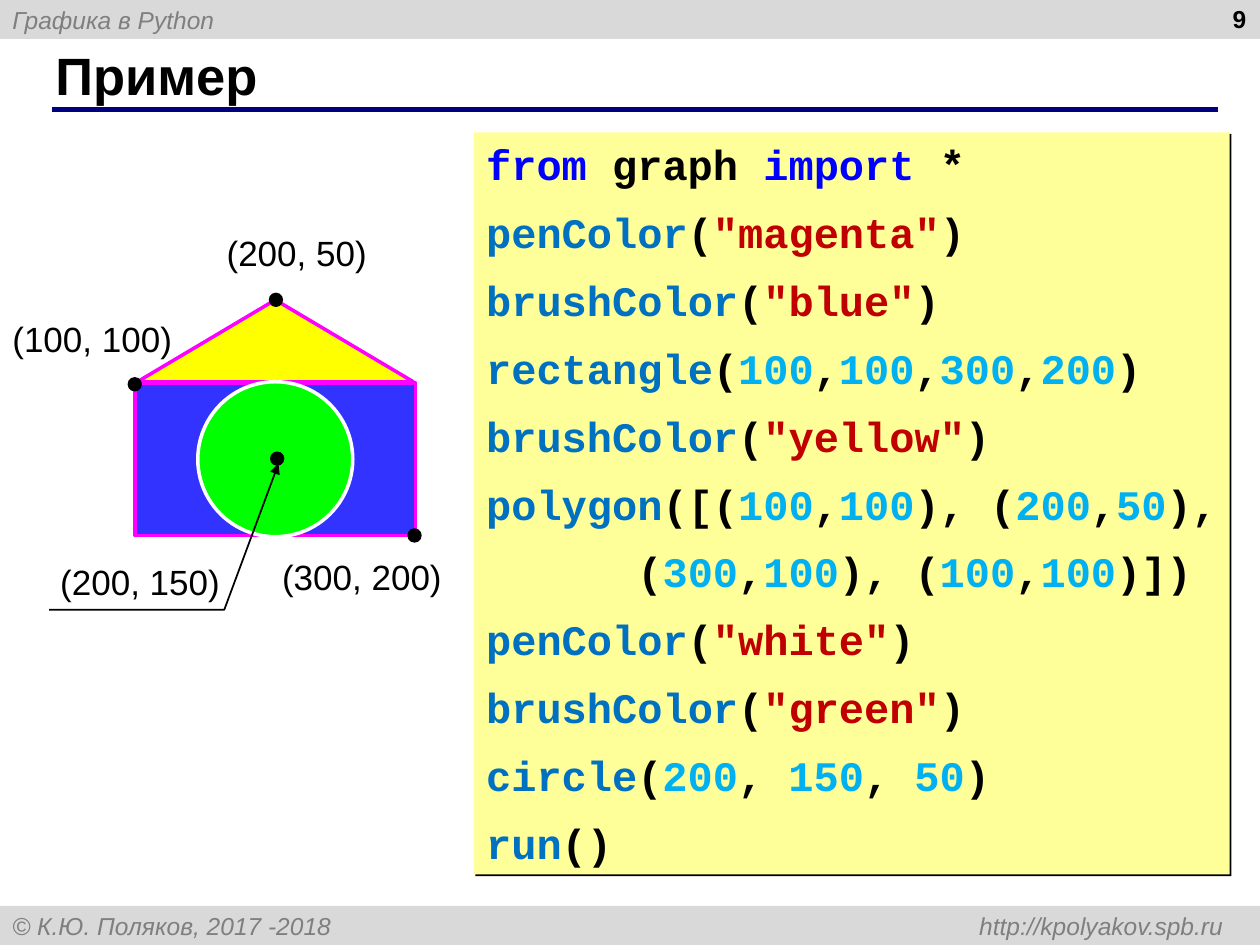
from dataclasses import dataclass
from itertools import groupby

from lxml import etree
from pptx import Presentation
from pptx import util as u
from pptx.dml.color import RGBColor
from pptx.enum import shapes, text
from pptx.oxml import parse_xml
from pptx.oxml.ns import nsdecls, qn

BLACK = RGBColor(0x00, 0x00, 0x00)
WHITE = RGBColor(0xFF, 0xFF, 0xFF)
BAR = RGBColor(0xD9, 0xD9, 0xD9)
GRAY = RGBColor(0x7F, 0x7F, 0x7F)
NAVY = RGBColor(0x00, 0x00, 0x80)
PAPER = RGBColor(0xFF, 0xFF, 0x99)
WALL = RGBColor(0x33, 0x33, 0xFF)
ROOF = RGBColor(0xFF, 0xFF, 0x00)
GREEN = RGBColor(0x00, 0xFF, 0x00)
PINK = RGBColor(0xFF, 0x00, 0xFF)
KEY = RGBColor(0x00, 0x00, 0xFF)
CALL = RGBColor(0x00, 0x70, 0xC0)
QUOTE = RGBColor(0xC0, 0x00, 0x00)
NUM = RGBColor(0x00, 0xB0, 0xF0)

COLS, ROWS = 1000, 750
WIDTH, HEIGHT = u.Inches(10), u.Inches(7.5)
KIND = shapes.MSO_SHAPE
DOT = 10

CODE = """from graph import *
penColor("magenta")
brushColor("blue")
rectangle(100,100,300,200)
brushColor("yellow")
polygon([(100,100), (200,50),
      (300,100), (100,100)])
penColor("white")
brushColor("green")
circle(200, 150, 50)
run()"""


@dataclass(frozen=True)
class Box:
    """A place in grid columns and rows."""
    col: float
    row: float
    wide: float
    high: float

    def emu(self) -> tuple:
        return (*spot(self.col, self.row), *spot(self.wide, self.high))


@dataclass(frozen=True)
class Style:
    size: float
    color: RGBColor = BLACK
    bold: bool = False
    italic: bool = False
    face: str = "Arial"


@dataclass(frozen=True)
class Part:
    kind: shapes.MSO_SHAPE
    box: Box
    fill: RGBColor
    line: RGBColor | None = None
    width: float = 2


@dataclass(frozen=True)
class Label:
    words: str
    box: Box


NOTE = Style(14, GRAY, italic=True)
MARK = Style(20)

HOUSE = [
    Part(KIND.RECTANGLE, Box(107, 304, 223, 121), WALL, PINK),
    Part(KIND.ISOSCELES_TRIANGLE, Box(109, 238, 219, 65), ROOF, PINK),
    Part(KIND.OVAL, Box(157, 303, 123, 123), GREEN, WHITE),
]
DOTS = [(102, 300), (214, 233), (324, 420)]
LABELS = [
    Label("(200, 50)", Box(170, 179, 155, 44)),
    Label("(100, 100)", Box(0, 247, 154, 44)),
    Label("(300, 200)", Box(214, 436, 160, 44)),
]
CENTER = Label("(200, 150)", Box(38, 440, 157, 44))
LEADER = [(39, 484), (178, 484), (221, 368)]


def spot(col: float, row: float) -> tuple:
    return round(WIDTH * col / COLS), round(HEIGHT * row / ROWS)


def draw(tree, part: Part):
    shape = tree.add_shape(part.kind, *part.box.emu())
    shape.shadow.inherit = False
    shape.fill.solid()
    shape.fill.fore_color.rgb = part.fill
    if part.line is None:
        shape.line.fill.background()
    else:
        shape.line.color.rgb = part.line
        shape.line.width = u.Pt(part.width)
    return shape


def dot(tree, col: float, row: float) -> None:
    draw(tree, Part(KIND.OVAL, Box(col, row, DOT, DOT), BLACK, BLACK, 1))


def write(para, words: str, style: Style, color: RGBColor | None = None) -> None:
    run = para.add_run()
    run.text = words
    font = run.font
    font.name, font.size = style.face, u.Pt(style.size)
    font.bold, font.italic = style.bold, style.italic
    font.color.rgb = color or style.color


def setup(shape, anchor=text.MSO_ANCHOR.TOP, align=text.PP_ALIGN.LEFT):
    """Prepare the text frame and return its first paragraph."""
    frame = shape.text_frame
    frame.word_wrap = True
    frame.auto_size = text.MSO_AUTO_SIZE.NONE
    frame.vertical_anchor = anchor
    para = frame.paragraphs[0]
    para.alignment = align
    return para


def label(tree, item: Label, style: Style = MARK, align=text.PP_ALIGN.LEFT) -> None:
    write(setup(tree.add_textbox(*item.box.emu()), align=align), item.words, style)


def strip(tree, row: float, words: str) -> None:
    """Draw a full-width gray bar with a right tab near its end."""
    bar = draw(tree, Part(KIND.RECTANGLE, Box(0, row, COLS, 31), BAR))
    para = setup(bar, text.MSO_ANCHOR.MIDDLE)
    if "\t" in words:
        tabs = etree.SubElement(para._p.get_or_add_pPr(), qn("a:tabLst"))
        etree.SubElement(tabs, qn("a:tab"), pos=str(spot(961, 0)[0]), algn="r")
    write(para, words, NOTE)


def rule(tree) -> None:
    line = tree.add_connector(shapes.MSO_CONNECTOR.STRAIGHT, *spot(41, 87), *spot(967, 87))
    line.line.color.rgb = NAVY
    line.line.width = u.Pt(3)
    etree.SubElement(line._element.spPr, qn("a:effectLst"))


def shade(token: str) -> RGBColor:
    """Pick the syntax colour of a code token."""
    if token.isdigit():
        return NUM
    if token.startswith('"'):
        return QUOTE
    if token in ("from", "import"):
        return KEY
    return CALL if token.isalnum() and token != "graph" else BLACK


def listing(tree) -> None:
    style = Style(24, bold=True, face="Courier New")
    panel = draw(tree, Part(KIND.RECTANGLE, Box(376, 105, 600, 589), PAPER))
    panel._element.spPr.find(qn("a:effectLst")).append(parse_xml(
        f'<a:outerShdw {nsdecls("a")} dist="{u.Pt(1.4)}" dir="2700000" algn="ctr" '
        'rotWithShape="0"><a:srgbClr val="000000"/></a:outerShdw>'))
    para = setup(panel)
    for i, line in enumerate(CODE.splitlines()):
        if i:
            para = panel.text_frame.add_paragraph()
            para.alignment = text.PP_ALIGN.LEFT
            para.space_before = u.Pt(10)
        for _, chars in groupby(line, lambda c: c.isalnum() or c == '"'):
            token = "".join(chars)
            write(para, token, style, shade(token))


def callout(tree) -> None:
    group = tree.add_group_shape().shapes
    dot(group, 215, 359)
    label(group, CENTER)
    start, *rest = [spot(*p) for p in LEADER]
    pen = group.build_freeform(*start)
    pen.add_line_segments(rest, close=False)
    path = pen.convert_to_shape()
    path.shadow.inherit = False
    path.fill.background()
    path.line.color.rgb = BLACK
    path.line.width = u.Pt(1)
    etree.SubElement(path.line._get_or_add_ln(), qn("a:tailEnd"), type="triangle")


def main() -> None:
    deck = Presentation()
    deck.slide_width, deck.slide_height = WIDTH, HEIGHT
    tree = deck.slides.add_slide(deck.slide_layouts[5]).shapes
    title = tree.title
    title.left, title.top, title.width, title.height = Box(34, 33, 916, 52).emu()
    write(setup(title, text.MSO_ANCHOR.MIDDLE), "Пример", Style(30, bold=True))
    strip(tree, 0, "Графика в Python")
    strip(tree, ROWS - 31, "© К.Ю. Поляков, 2017 -2018\thttp://kpolyakov.spb.ru")
    rule(tree)
    label(tree, Label("9", Box(766, -2, 233, 52)), Style(14, bold=True), text.PP_ALIGN.RIGHT)
    for part in HOUSE:
        draw(tree, part)
    for item in LABELS:
        label(tree, item)
    for place in DOTS:
        dot(tree, *place)
    listing(tree)
    callout(tree)
    deck.save("out.pptx")


if __name__ == "__main__":
    main()
